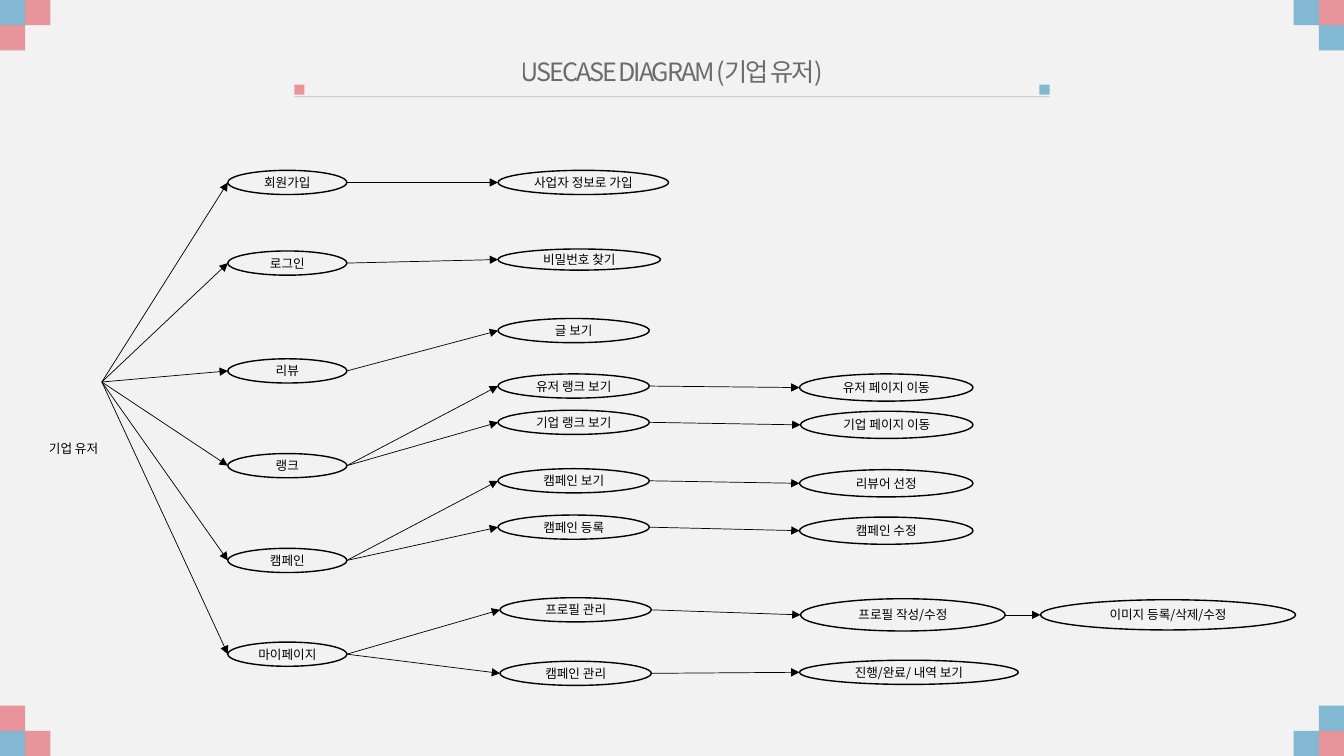
from lxml.etree import SubElement
from pptx import Presentation
from pptx.dml.color import RGBColor
from pptx.enum.shapes import MSO_CONNECTOR, MSO_SHAPE
from pptx.enum.text import MSO_ANCHOR, PP_ALIGN
from pptx.oxml.ns import qn
from pptx.util import Inches, Pt

FONT = "Noto Sans CJK KR"
BLUE, PINK, BLACK, GREY = "529FC6", "E46A73", "000000", "404040"
WIDTH, HEIGHT, TILE = 13.33, 7.5, 0.25


def paint(fill, color, alpha=100):
    """Give a fill a solid colour; alpha is its opacity in percent."""
    fill.solid()
    fill.fore_color.rgb = RGBColor.from_string(color)
    if alpha < 100:
        tint = fill._xPr.find(qn("a:solidFill"))[0]
        SubElement(tint, qn("a:alpha")).set("val", str(alpha * 1000))


def write(shape, text, size=9, color=BLACK, alpha=100, space=0, wrap=True):
    frame = shape.text_frame
    frame.word_wrap = wrap
    frame.vertical_anchor = MSO_ANCHOR.MIDDLE
    frame.margin_left = frame.margin_right = 0
    frame.margin_top = frame.margin_bottom = 0
    para = frame.paragraphs[0]
    para.alignment = PP_ALIGN.CENTER
    run = para.add_run()
    run.text = text
    run.font.size = Pt(size)
    run.font.name = FONT
    paint(run.font.fill, color, alpha)
    props = run.font._element
    SubElement(props, qn("a:ea")).set("typeface", FONT)
    if space:
        props.set("spc", str(int(space * 100)))


deck = Presentation()
deck.slide_width, deck.slide_height = Inches(WIDTH), Inches(HEIGHT)
slide = deck.slides.add_slide(deck.slide_layouts[5])
shapes = slide.shapes
paint(slide.background.fill, "F2F2F2")

# Title
title = shapes.title
title.left, title.top = Inches(2.92), Inches(0.51)
title.width, title.height = Inches(7.49), Inches(0.4)
write(title, "USECASE DIAGRAM (기업 유저)", size=18, color="262626", alpha=66, space=-1.5)

# Corner tiles and the two marks on the title rule
tiles = [(2.92, 0.84, 0.1, PINK), (10.31, 0.84, 0.1, BLUE)]
sides = [(0, TILE, BLUE, PINK), (WIDTH - TILE, WIDTH - 2 * TILE, PINK, BLUE)]
for edge, inner, main, other in sides:
    for end, near in [(0, TILE), (HEIGHT - TILE, HEIGHT - 2 * TILE)]:
        tiles += [
            (edge, end, TILE, main),
            (inner, end, TILE, other),
            (edge, near, TILE, other),
        ]
for left, top, size, color in tiles:
    tile = shapes.add_shape(
        MSO_SHAPE.RECTANGLE, Inches(left), Inches(top), Inches(size), Inches(size)
    )
    tile.shadow.inherit = False
    paint(tile.fill, color, 69)
    tile.line.fill.background()

# Actor
actor = shapes.add_textbox(Inches(0.23), Inches(4.32), Inches(1), Inches(0.25))
write(actor, "기업 유저")

# Use cases: text, left, top, width, height, parent
menus = [
    ("회원가입", 1.69), ("로그인", 2.49), ("리뷰", 3.56),
    ("랭크", 4.5), ("캠페인", 5.44), ("마이페이지", 6.37),
]
cases = [(text, 2.26, top, 1.18, 0.24, "actor") for text, top in menus]
cases += [
    ("사업자 정보로 가입", 4.94, 1.69, 1.69, 0.24, "회원가입"),
    ("비밀번호 찾기", 4.94, 2.47, 1.61, 0.21, "로그인"),
    ("글 보기", 4.94, 3.16, 1.5, 0.24, "리뷰"),
    ("유저 랭크 보기", 4.94, 3.71, 1.5, 0.24, "랭크"),
    ("기업 랭크 보기", 4.94, 4.07, 1.5, 0.24, "랭크"),
    ("캠페인 보기", 4.94, 4.65, 1.5, 0.24, "캠페인"),
    ("캠페인 등록", 4.94, 5.11, 1.5, 0.24, "캠페인"),
    ("프로필 관리", 4.96, 5.93, 1.5, 0.24, "마이페이지"),
    ("캠페인 관리", 4.96, 6.56, 1.5, 0.24, "마이페이지"),
    ("유저 페이지 이동", 7.93, 3.71, 1.72, 0.27, "유저 랭크 보기"),
    ("기업 페이지 이동", 7.94, 4.08, 1.71, 0.27, "기업 랭크 보기"),
    ("리뷰어 선정", 7.93, 4.66, 1.72, 0.27, "캠페인 보기"),
    ("캠페인 수정", 7.93, 5.13, 1.72, 0.27, "캠페인 등록"),
    ("프로필 작성/수정", 7.94, 5.94, 2.03, 0.32, "프로필 관리"),
    ("진행/완료/ 내역 보기", 7.93, 6.55, 2.17, 0.24, "캠페인 관리"),
    ("이미지 등록/삭제/수정", 10.32, 5.95, 2.53, 0.3, "프로필 작성/수정"),
]
exits = {"actor": (1.01, 3.79)}
lines = [((2.92, 0.96), (10.41, 0.96), GREY, 29, False)]
for text, left, top, width, height, parent in cases:
    case = shapes.add_shape(
        MSO_SHAPE.OVAL, Inches(left), Inches(top), Inches(width), Inches(height)
    )
    case.shadow.inherit = False
    case.fill.background()
    paint(case.line.fill, BLACK)
    case.line.width = Pt(1)
    write(case, text, wrap=False)
    middle = top + height / 2
    exits[text] = (left + width, middle)
    lines.append((exits[parent], (left, middle), BLACK, 100, True))

# Title rule and arrows
for start, end, color, alpha, arrow in lines:
    line = shapes.add_connector(
        MSO_CONNECTOR.STRAIGHT, *[Inches(n) for n in start + end]
    )
    paint(line.line.fill, color, alpha)
    line.line.width = Pt(0.5)
    if arrow:
        SubElement(line.line._get_or_add_ln(), qn("a:tailEnd")).set("type", "triangle")
    SubElement(line._element.spPr, qn("a:effectLst"))

deck.save("out.pptx")
